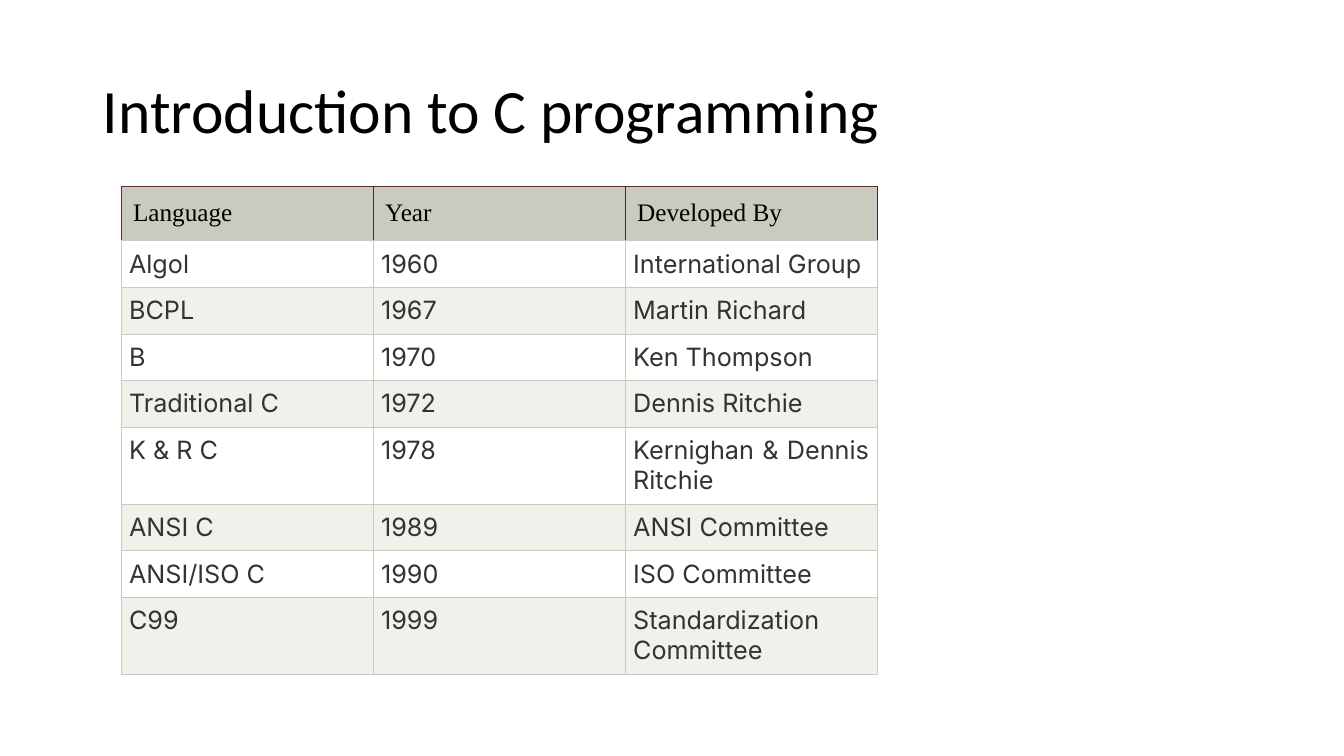
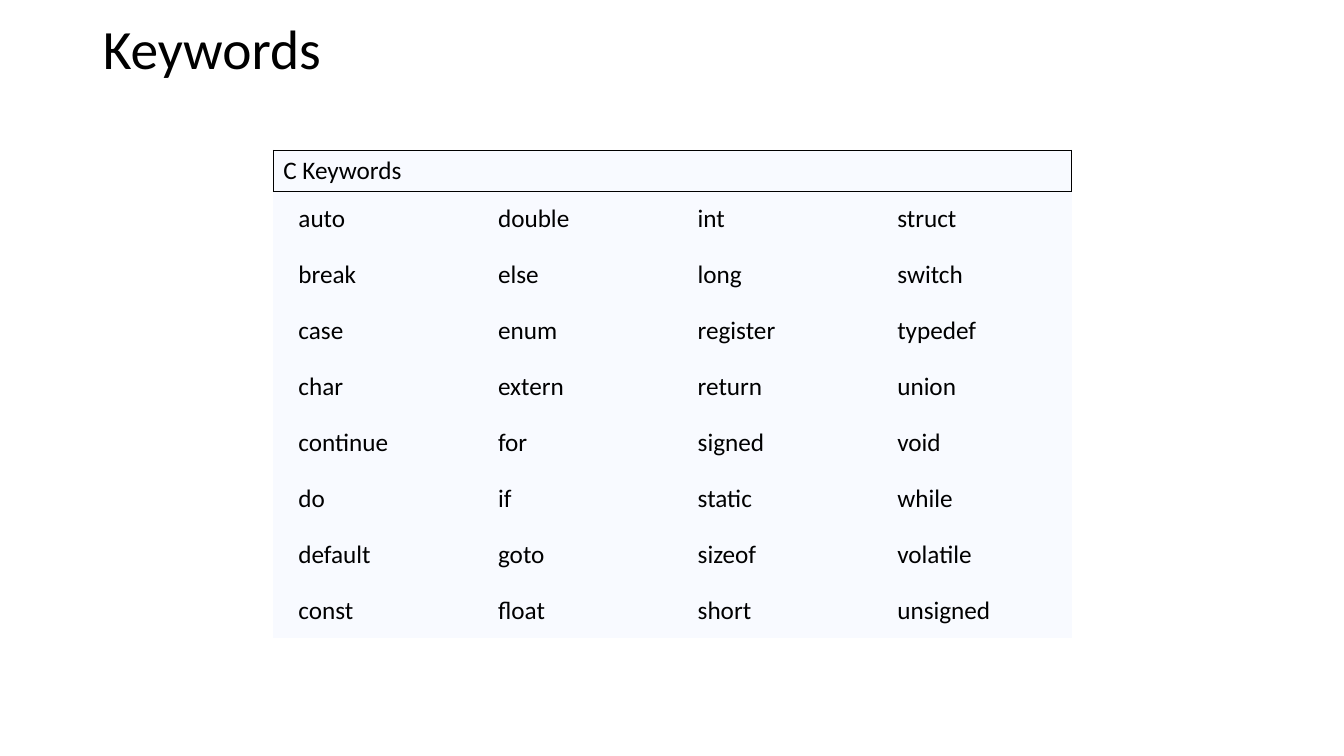
from lxml import etree
from pptx import Presentation
from pptx import util as u
from pptx.dml.color import RGBColor
from pptx.enum import text
from pptx.oxml.ns import qn

BLACK, INK, WHITE = "000000", "333333", "FFFFFF"
SAGE, PALE_SAGE, WINE, PALE_BLUE = "C7CCBE", "EFF1EB", "781E44", "F8FAFF"
NO_GRID_STYLE = "{2D5ABB26-0587-4C30-8999-92F81FD0307C}"
SIDES = ("left", "right", "top", "bottom")

LANGUAGES = [
    ("Language", "Year", "Developed By"),
    ("Algol", "1960", "International Group"),
    ("BCPL", "1967", "Martin Richard"),
    ("B", "1970", "Ken Thompson"),
    ("Traditional C", "1972", "Dennis Ritchie"),
    ("K & R C", "1978", "Kernighan & Dennis Ritchie"),
    ("ANSI C", "1989", "ANSI Committee"),
    ("ANSI/ISO C", "1990", "ISO Committee"),
    ("C99", "1999", "Standardization Committee"),
]
KEYWORDS = [
    ("auto", "double", "int", "struct"),
    ("break", "else", "long", "switch"),
    ("case", "enum", "register", "typedef"),
    ("char", "extern", "return", "union"),
    ("continue", "for", "signed", "void"),
    ("do", "if", "static", "while"),
    ("default", "goto", "sizeof", "volatile"),
    ("const", "float", "short", "unsigned"),
]


def color(value):
    return RGBColor.from_string(value)


class Deck:
    """Holds the presentation, its shared style and the current slide."""

    def __init__(self):
        self.presentation = Presentation()
        self.presentation.slide_width = u.Inches(13.33)
        self.presentation.slide_height = u.Inches(7.5)
        self.slide = None

    def set_text(self, frame, wording, size=18, font="Calibri", ink=BLACK, **layout):
        frame.text = wording
        paragraph = frame.paragraphs[0]
        for name, value in layout.items():
            setattr(paragraph, name, value)
        run_font = paragraph.runs[0].font
        for name, value in {"size": u.Pt(size), "name": font}.items():
            setattr(run_font, name, value)
        run_font.color.rgb = color(ink)

    def add_slide(self, wording, top, height, size):
        self.slide = self.presentation.slides.add_slide(self.presentation.slide_layouts[5])
        title = self.slide.shapes.title
        place = {"left": 0.92, "top": top, "width": 11.5, "height": height}
        for name, value in place.items():
            setattr(title, name, u.Inches(value))
        self.set_text(title.text_frame, wording, size,
                      alignment=text.PP_ALIGN.LEFT, line_spacing=0.9)
        frame = {"vertical_anchor": text.MSO_ANCHOR.MIDDLE,
                 "auto_size": text.MSO_AUTO_SIZE.NONE, "word_wrap": True}
        for name, value in frame.items():
            setattr(title.text_frame, name, value)

    def add_table(self, left, top, column_width, columns, heights):
        width = column_width * columns
        shape = self.slide.shapes.add_table(
            len(heights), columns, u.Inches(left), u.Inches(top),
            u.Inches(width), u.Inches(sum(heights)))
        table = shape.table
        table.first_row = table.horz_banding = False
        table._tbl.tblPr.find(qn("a:tableStyleId")).text = NO_GRID_STYLE
        for column in table.columns:
            column.width = u.Inches(column_width)
        for row, height in zip(table.rows, heights):
            row.height = u.Inches(height)
        return table

    def format_cell(self, cell, wording, fill, margins, borders=None,
                    anchor=text.MSO_ANCHOR.TOP, **style):
        self.set_text(cell.text_frame, wording, **style)
        cell.vertical_anchor = anchor
        for side, margin in zip(SIDES, margins):
            setattr(cell, f"margin_{side}", u.Inches(margin))
        cell.fill.solid()
        cell.fill.fore_color.rgb = color(fill)
        if borders:
            self.add_borders(cell, borders)

    def add_borders(self, cell, borders, points=0.75):
        properties = cell._tc.get_or_add_tcPr()
        for index, side in enumerate(SIDES):
            line = etree.Element(qn(f"a:ln{side[0].upper()}"), w=str(u.Pt(points)))
            fill = etree.SubElement(line, qn("a:solidFill"))
            etree.SubElement(fill, qn("a:srgbClr"), val=borders[side])
            properties.insert(index, line)


def add_languages(deck):
    deck.add_slide("Introduction to C programming", 0.4, 1.45, 44)
    heights = [0.54] + [0.75 if len(row[2]) > 20 else 0.45 for row in LANGUAGES[1:]]
    table = deck.add_table(1.2, 1.85, 2.5, 3, heights)
    for row_index, row in enumerate(LANGUAGES):
        for column_index, wording in enumerate(row):
            borders = dict.fromkeys(SIDES, SAGE)
            if row_index == 0:
                borders.update(left=INK if column_index else WINE, right=INK, top=WINE)
                style = {"fill": SAGE, "margins": [0.12] * 4, "font": "Times New Roman"}
            else:
                style = {"fill": WHITE if row_index % 2 else PALE_SAGE,
                         "margins": [0.08] * 4, "font": "Inter", "ink": INK,
                         "alignment": text.PP_ALIGN.JUSTIFY}
            deck.format_cell(table.cell(row_index, column_index), wording,
                             borders=borders, **style)


def add_keywords(deck):
    deck.add_slide("Keywords", 0.26, 0.51, 39.6)
    header_height, table_height = 0.4, 4.84
    row_height = (table_height - header_height) / len(KEYWORDS)
    table = deck.add_table(2.71, 1.49, 1.98, 4,
                           [header_height] + [row_height] * len(KEYWORDS))
    style = {"fill": PALE_BLUE, "anchor": text.MSO_ANCHOR.MIDDLE}
    header = table.cell(0, 0)
    header.merge(table.cell(0, 3))
    deck.format_cell(header, "C Keywords", margins=(0.1, 0.1, 0.05, 0.05),
                     borders=dict.fromkeys(SIDES, BLACK), **style)
    for row_index, row in enumerate(KEYWORDS, 1):
        for column_index, wording in enumerate(row):
            deck.format_cell(table.cell(row_index, column_index), wording,
                             margins=(0.25, 0.25, 0.12, 0.12), **style)


def main():
    deck = Deck()
    add_languages(deck)
    add_keywords(deck)
    deck.presentation.save("out.pptx")


if __name__ == "__main__":
    main()
